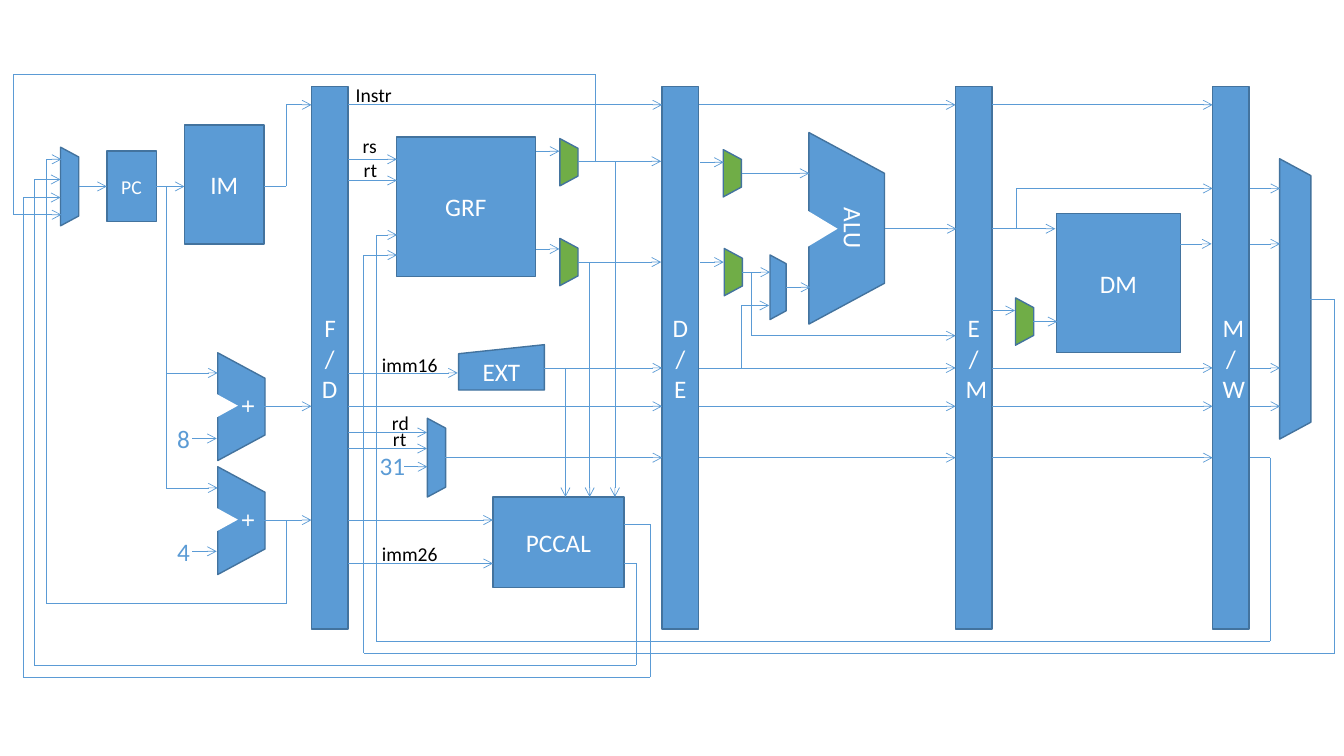
from dataclasses import dataclass
from itertools import pairwise

from lxml import etree
from pptx import Presentation
from pptx.dml.color import RGBColor
from pptx.enum import shapes, text
from pptx.oxml import ns
from pptx.util import Pt

BLUE = RGBColor(0x5B, 0x9B, 0xD5)
EDGE = RGBColor(0x43, 0x73, 0x9E)
GREEN = RGBColor(0x70, 0xAD, 0x47)
WHITE = RGBColor(0xFF, 0xFF, 0xFF)
BLACK = RGBColor(0, 0, 0)
KIND = shapes.MSO_SHAPE
FONT = "Calibri"


@dataclass
class Block:
    left: float
    top: float
    width: float
    height: float
    label: str
    size: float = 18
    kind: int = KIND.RECTANGLE


@dataclass
class Turned:
    """Shape turned by 90 degrees, given by its centre and visible size."""
    x: float
    y: float
    width: float
    height: float
    fill: RGBColor = BLUE
    label: str = ""
    kind: int = KIND.TRAPEZOID


@dataclass
class Wire:
    points: list[tuple[float, float]]
    arrow: bool = True


@dataclass
class Label:
    left: float
    top: float
    width: float
    content: str
    size: float = 14
    color: RGBColor = BLACK


def apply_format(target, values: dict) -> None:
    for name, value in values.items():
        setattr(target, name, value)


def write(shape, content: str, size: float, color: RGBColor, frame_format: dict, align=None) -> None:
    apply_format(shape.text_frame, frame_format)
    paragraph = shape.text_frame.paragraphs[0]
    paragraph.alignment = align
    run = paragraph.add_run()
    run.text = content
    apply_format(run.font, {"name": FONT, "size": Pt(size)})
    run.font.color.rgb = color


def draw_shape(slide, kind, left, top, width, height, fill: RGBColor):
    shape = slide.shapes.add_shape(kind, Pt(left), Pt(top), Pt(width), Pt(height))
    shape.shadow.inherit = False
    shape.fill.solid()
    shape.fill.fore_color.rgb = fill
    if fill == WHITE:
        shape.line.fill.background()
    else:
        shape.line.color.rgb = EDGE
        shape.line.width = Pt(1)
    return shape


def draw_block(slide, block: Block) -> None:
    shape = draw_shape(slide, block.kind, block.left, block.top, block.width, block.height, BLUE)
    frame_format = {"word_wrap": True, "vertical_anchor": text.MSO_ANCHOR.MIDDLE}
    write(shape, block.label, block.size, WHITE, frame_format, text.PP_ALIGN.CENTER)


def draw_turned(slide, part: Turned) -> None:
    left, top = part.x - part.height / 2, part.y - part.width / 2
    shape = draw_shape(slide, part.kind, left, top, part.height, part.width, part.fill)
    shape.rotation = 90
    if part.kind == KIND.TRAPEZOID:
        shape.adjustments[0] = 0.54
    if part.label:
        frame_format = {"word_wrap": True, "vertical_anchor": text.MSO_ANCHOR.MIDDLE,
                        "margin_top": 0, "margin_bottom": Pt(18)}
        write(shape, part.label, 18, WHITE, frame_format, text.PP_ALIGN.CENTER)


def draw_wire(slide, wire: Wire) -> None:
    for start, end in pairwise(wire.points):
        line = slide.shapes.add_connector(
            shapes.MSO_CONNECTOR.STRAIGHT, *(Pt(value) for value in start + end))
        line.line.color.rgb = BLUE
        line.line.width = Pt(0.5)
        properties = line._element.spPr
        etree.SubElement(properties, ns.qn("a:effectLst"))
        if wire.arrow and end == wire.points[-1]:
            outline = properties.find(ns.qn("a:ln"))
            etree.SubElement(outline, ns.qn("a:tailEnd"), type="arrow")


def draw_label(slide, label: Label) -> None:
    height = 24.5 if label.size == 14 else 29
    box = slide.shapes.add_textbox(Pt(label.left), Pt(label.top), Pt(label.width), Pt(height))
    write(box, label.content, label.size, label.color, {"word_wrap": True})


def across(start: float, end: float, *rows: float) -> list[Wire]:
    return [Wire([(start, y), (end, y)]) for y in rows]


# Pipeline registers and function blocks
BAR_WIDTH = 26
BARS = {"F/D": 222.5, "D/E": 473, "E/M": 682.6, "M/W": 866.2}
BLOCKS = [Block(left, 62, BAR_WIDTH, 387.4, name) for name, left in BARS.items()] + [
    Block(283, 98, 99.4, 99.4, "GRF"),
    Block(327.6, 246.2, 61.2, 32.4, "EXT", kind=KIND.FLOWCHART_MANUAL_INPUT),
    Block(352.1, 355, 93.6, 64.8, "PCCAL"),
    Block(131.8, 89.3, 56.9, 85, "IM"),
    Block(76.3, 108, 35.3, 50.4, "PC", 14),
    Block(754.6, 152.6, 88.6, 99.4, "DM"),
]

# Multiplexers, adders and ALU
FORWARD_CENTRES = [(406.4, 115.9), (406.4, 187.2), (523.1, 123.8), (523.8, 194.4), (731.9, 229.7)]
TURNED = [
    Turned(49.7, 133.2, 13, 56.2),
    Turned(311.8, 326.9, 13, 56.2),
    Turned(555.8, 205.2, 11.5, 46.1),
    Turned(925.2, 213.5, 22.3, 200.2),
    Turned(604.8, 163.1, 54, 136.8, label="ALU"),
    Turned(587.5, 163.4, 21.6, 26, WHITE, kind=KIND.ISOSCELES_TRIANGLE),
]
for adder_y in (290.5, 371.9):
    TURNED += [Turned(172.4, adder_y, 33.8, 77, label="+"),
               Turned(162.4, adder_y - 0.7, 15.1, 16.6, WHITE, kind=KIND.ISOSCELES_TRIANGLE)]
TURNED += [Turned(x, y, 13, 33.8, GREEN) for x, y in FORWARD_CENTRES]

# Signals carried from register to register: row and first stage
CARRIED = [(74.9, 0), (262.8, 1), (290.2, 0), (326.9, 1)]
STAGES = list(pairwise(BARS.values()))
WIRES = [wire for y, first in CARRIED for left, right in STAGES[first:]
         for wire in across(left + BAR_WIDTH, right, y)]

# Straight wires, fetch to write-back
WIRES += across(56.2, 76.3, 133.2) + across(111.6, 131.8, 133.2)
WIRES += across(137.5, 154.8, 313.2, 393.8) + across(188.6, 222.5, 290.2, 371.5)
WIRES += across(248.4, 283.5, 113.8, 128.9) + across(248.4, 327, 266.4)
WIRES += across(248.4, 305, 308.9, 320.4) + across(288.7, 305.3, 333.4)
WIRES += across(248.4, 352.1, 371.5, 402.5)
WIRES += across(383, 399.6, 108, 177.8) + across(412.6, 472.3, 115.2, 187.2)
WIRES += across(388.8, 473, 262.8) + across(318.2, 473, 326.9)
WIRES += across(500, 517, 115.9, 187.2) + across(529.9, 578.2, 123.8)
WIRES += across(529.9, 550.1, 194.4) + across(561.6, 578.9, 205.2)
WIRES += across(632.2, 683.3, 163.4) + across(708.5, 753.8, 163.4)
WIRES += across(708.5, 725, 221.8) + across(738, 755.3, 229.7)
WIRES += across(842.4, 865.4, 174.2) + across(892.8, 914.4, 134.6, 174.2, 262.8, 290.2)
WIRES += [Wire([(x, y), (x, 355)]) for x, y in [(403.9, 262.8), (421.2, 187.2), (439.2, 115.2)]]

# Bent wires
WIRES += [
    Wire([(188.6, 133.2), (204.5, 133.2), (204.5, 74.9), (222.5, 74.9)]),
    Wire([(118.8, 133.2), (118.8, 266.4), (155.5, 266.4)]),
    Wire([(118.8, 266.4), (118.8, 348.5), (155.5, 348.5)]),
    Wire([(536.4, 194.4), (536.4, 239.8), (682.6, 239.8)]),
    Wire([(529.9, 262.8), (529.9, 218.2), (549.4, 218.2)]),
    Wire([(725.8, 163.4), (725.8, 134.6), (866.2, 134.6)]),
]


def feedback(x: float, y: float, turn: float, rail: float, back: float, end: float, row: float) -> Wire:
    return Wire([(x, y), (turn, y), (turn, rail), (back, rail), (back, row), (end, row)])


# Feedback loops to the PC multiplexer and the register file
WIRES += [
    Wire([(425.5, 115.9), (425.5, 53.3), (9.4, 53.3), (9.4, 153.4), (43.9, 153.4)]),
    Wire([(204.5, 371.5), (204.5, 431.3), (33.1, 431.3), (33.1, 113.8), (43.9, 113.8)]),
    feedback(445.7, 402.5, 454.3, 475.2, 24.5, 43.2, 128.2),
    feedback(445.7, 374.4, 464.4, 483.8, 16.6, 43.2, 141.1),
    feedback(936, 213.8, 953.3, 466.6, 259.9, 283.7, 182.2),
    feedback(892.8, 326.9, 907.2, 457.9, 268.6, 283.7, 167.8),
]

# Signal names and constants
LABELS = [
    Label(119.5, 298.8, 26, "8", 18, BLUE), Label(119.5, 379.4, 26, "4", 18, BLUE),
    Label(264.2, 318.2, 41, "31", 18, BLUE),
    Label(247, 55.4, 44, "Instr"), Label(252, 92.2, 27.4, "rs"), Label(252.7, 109.4, 27.4, "rt"),
    Label(265.7, 248.4, 62.6, "imm16"), Label(265.7, 383.8, 62.6, "imm26"),
    Label(272.9, 290.2, 27.4, "rd"), Label(273.6, 301.7, 27.4, "rt"),
]

presentation = Presentation()
apply_format(presentation, {"slide_width": Pt(960), "slide_height": Pt(540)})
slide = presentation.slides.add_slide(presentation.slide_layouts[6])
for draw, items in [(draw_block, BLOCKS), (draw_turned, TURNED),
                    (draw_wire, WIRES), (draw_label, LABELS)]:
    for item in items:
        draw(slide, item)
presentation.save("out.pptx")
